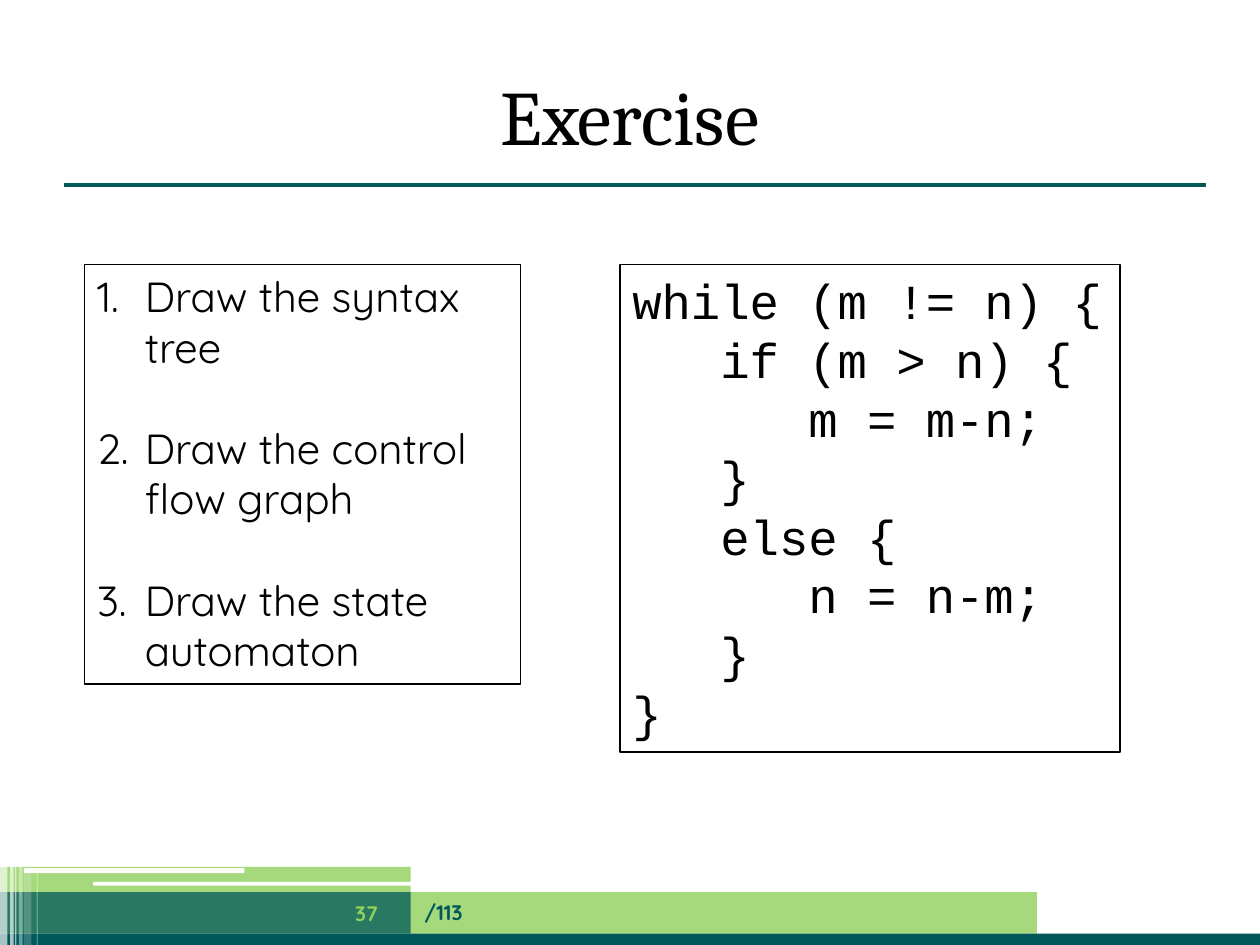
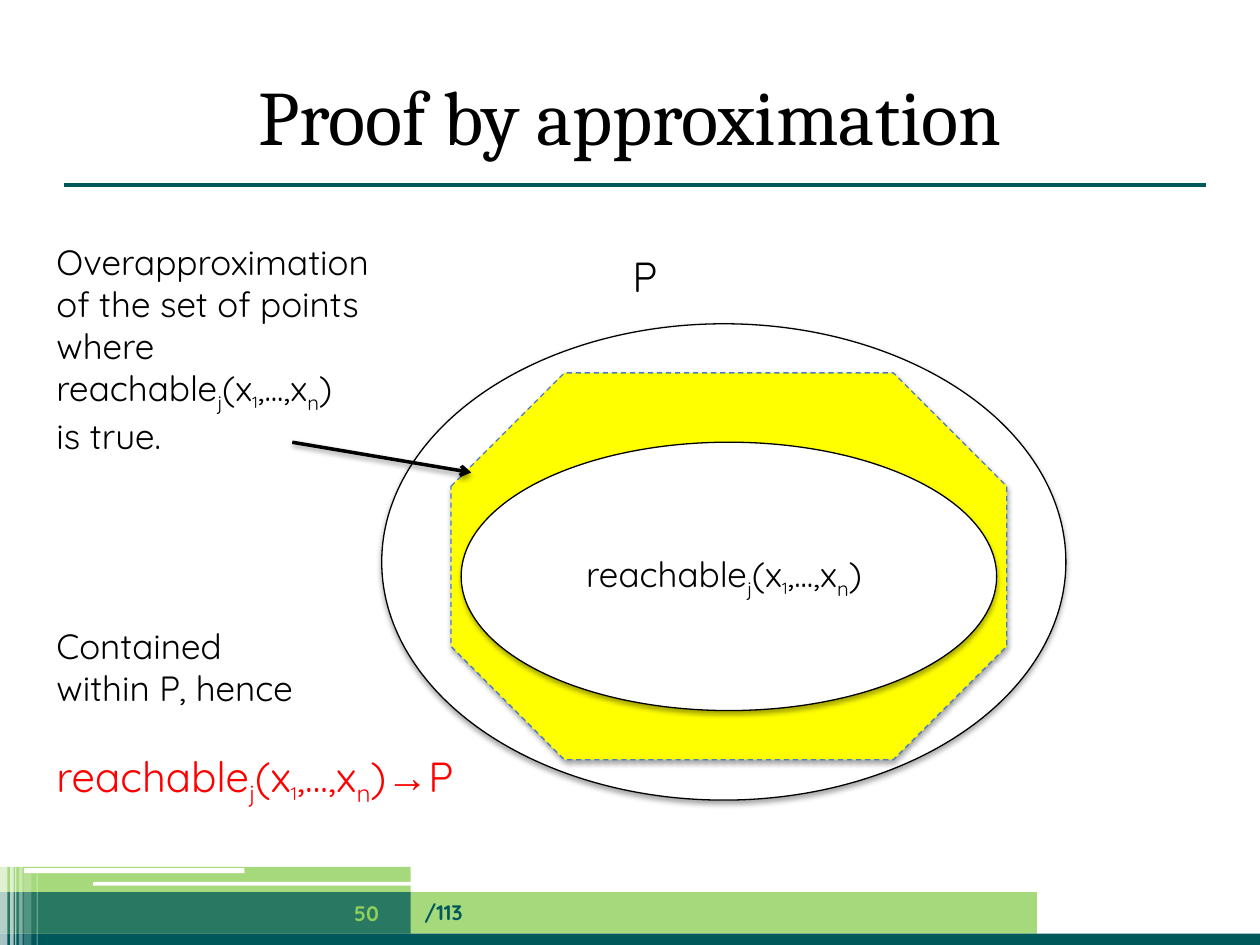
from lxml.etree import SubElement
from pptx import Presentation
from pptx.dml.color import RGBColor
from pptx.enum.dml import MSO_LINE
from pptx.enum.shapes import MSO_CONNECTOR, MSO_SHAPE
from pptx.enum.text import MSO_ANCHOR, MSO_AUTO_SIZE, PP_ALIGN
from pptx.oxml.ns import qn
from pptx.util import Emu, Pt

# Shared style: 100 px to the inch
EMU_PER_PX = 9144
TEAL, GREEN, WHITE, BLACK = "00585A", "90D05C", "FFFFFF", "000000"
YELLOW, RED, BLUE = "FFFF00", "FF0000", "4B7EBC"
TITLE_FONT, BODY_FONT, CODE_FONT = "Cambria", "Quicksand", "Courier New"
TITLE_ONLY, TITLE_AND_BODY = 5, 1
SLIDE_TOTAL = 113

# Footer bands: left, top, width, height, colour, opacity in percent
BANDS = [
    (0, 708, 823, 33, GREEN, 80),
    (0, 741, 1000, 11, TEAL, 100),
    (0, 708, 326, 33, TEAL, 75),
    (0, 688, 326, 20, GREEN, 80),
]
ROUNDED_STRIPES = [(74, 700, 335, 3), (19, 689, 175, 4)]
# Vertical stripes: left, top, width, opacity in percent
VERTICAL_STRIPES = [
    (0, 686, 6, 65), (8, 686, 3, 65), (12, 686, 1, 60),
    (15, 686, 3, 40), (19, 690, 6, 20), (29, 690, 1, 30),
]
FOOTER_BOTTOM = 752


def px(length):
    return Emu(length * EMU_PER_PX)


def rgb(color):
    return RGBColor.from_string(color)


def add_text(paragraph, text, size=20, font=BODY_FONT, color=BLACK, bold=False, subscript=False):
    run = paragraph.add_run()
    run.text = text
    run.font.size = Pt(size)
    run.font.name = font
    run.font.bold = bold
    run.font.color.rgb = rgb(color)
    if subscript:
        run.font._element.set("baseline", "-25000")


def add_reachable(paragraph, index_size, ending=")", **style):
    """Write reachable_j(x_1,...,x_n)."""
    add_text(paragraph, "reachable", **style)
    add_text(paragraph, "j", subscript=True, **style)
    add_text(paragraph, "(x", **style)
    add_text(paragraph, "1", subscript=True, **{**style, "size": index_size})
    add_text(paragraph, ",...,x", **style)
    add_text(paragraph, "n", subscript=True, **style)
    add_text(paragraph, ending, **style)


def add_shadow(effects, opacity, distance):
    shadow = SubElement(effects, qn("a:outerShdw"), blurRad=str(Pt(3.1)),
                        dist=str(Pt(distance)), dir="5400000", rotWithShape="0")
    color = SubElement(shadow, qn("a:srgbClr"), val=BLACK)
    SubElement(color, qn("a:alpha"), val=str(opacity * 1000))


class Deck:
    def __init__(self):
        self.presentation = Presentation()
        self.presentation.slide_width = px(1000)
        self.presentation.slide_height = px(750)
        self.slide = None

    def new_slide(self, title, number, layout=TITLE_ONLY):
        layouts = self.presentation.slide_layouts
        self.slide = self.presentation.slides.add_slide(layouts[layout])
        self.footer(number)
        self.line(51, 147, 957, 147, TEAL, 2.25)
        frame = self.place(self.slide.shapes.title, 50, 44, 900, 94)
        frame.vertical_anchor = MSO_ANCHOR.MIDDLE
        paragraph = frame.paragraphs[0]
        paragraph.alignment = PP_ALIGN.CENTER
        add_text(paragraph, title, size=44, font=TITLE_FONT)

    def footer(self, number):
        for left, top, width, height, color, opacity in BANDS:
            self.shape(MSO_SHAPE.RECTANGLE, left, top, width, height, color, opacity=opacity)
        for stripe in ROUNDED_STRIPES:
            self.shape(MSO_SHAPE.ROUNDED_RECTANGLE, *stripe, WHITE)
        for left, top, width, opacity in VERTICAL_STRIPES:
            self.shape(MSO_SHAPE.RECTANGLE, left, top, width, FOOTER_BOTTOM - top,
                       WHITE, opacity=opacity)
        total = self.text_box(327, 704, 496, 40, MSO_ANCHOR.MIDDLE)
        add_text(total.paragraphs[0], f"/{SLIDE_TOTAL}", size=12, color=TEAL, bold=True)
        page = self.text_box(256, 705, 70, 40, MSO_ANCHOR.MIDDLE)
        page.paragraphs[0].alignment = PP_ALIGN.CENTER
        add_text(page.paragraphs[0], str(number), size=12, color=GREEN, bold=True)

    def place(self, placeholder, left, top, width, height):
        placeholder.left, placeholder.top = px(left), px(top)
        placeholder.width, placeholder.height = px(width), px(height)
        placeholder.text_frame.auto_size = MSO_AUTO_SIZE.NONE
        return placeholder.text_frame

    def outline(self, shape, color, width=0.75):
        shape.line.color.rgb = rgb(color)
        shape.line.width = Pt(width)

    def shape(self, kind, left, top, width, height, fill, line=None, opacity=100, shadow=False):
        shape = self.slide.shapes.add_shape(kind, px(left), px(top), px(width), px(height))
        shape.shadow.inherit = False
        shape.fill.solid()
        shape.fill.fore_color.rgb = rgb(fill)
        properties = shape.element.spPr
        if opacity < 100:
            color = properties.find(f"{qn('a:solidFill')}/{qn('a:srgbClr')}")
            SubElement(color, qn("a:alpha"), val=str(opacity * 1000))
        if line:
            self.outline(shape, line)
        else:
            shape.line.fill.background()
        if shadow:
            add_shadow(properties.find(qn("a:effectLst")), 35, 1.8)
        return shape

    def line(self, left, top, right, bottom, color, width, arrow=False):
        line = self.slide.shapes.add_connector(
            MSO_CONNECTOR.STRAIGHT, px(left), px(top), px(right), px(bottom))
        self.outline(line, color, width)
        properties = line.element.spPr
        effects = SubElement(properties, qn("a:effectLst"))
        if arrow:
            SubElement(properties.find(qn("a:ln")), qn("a:tailEnd"), type="arrow")
            add_shadow(effects, 38, 1.6)

    def text_box(self, left, top, width, height, anchor=MSO_ANCHOR.TOP, wrap=True, border=None):
        box = self.slide.shapes.add_textbox(px(left), px(top), px(width), px(height))
        if border:
            self.outline(box, border)
        box.text_frame.word_wrap = wrap
        box.text_frame.vertical_anchor = anchor
        return box.text_frame

    def paragraphs(self, frame, lines, gaps=None, **style):
        """Write one paragraph a line; gaps maps a line index to points before it."""
        for index, text in enumerate(lines):
            paragraph = frame.add_paragraph() if index else frame.paragraphs[0]
            paragraph.space_before = Pt((gaps or {}).get(index, 0))
            if text == "reachable":
                add_reachable(paragraph, 16, **style)
            else:
                add_text(paragraph, text, **style)

    def numbered_list(self, left, top, width, height, items, gap, **style):
        body = self.slide.placeholders[1]
        frame = self.place(body, left, top, width, height)
        self.outline(body, BLACK)
        self.paragraphs(frame, items, {i: gap for i in range(1, len(items))}, **style)
        for paragraph in frame.paragraphs:
            properties = paragraph._p.get_or_add_pPr()
            properties.set("marL", str(px(38)))
            properties.set("indent", str(px(-38)))
            SubElement(properties, qn("a:buFont"), typeface="+mj-lt")
            SubElement(properties, qn("a:buAutoNum"), type="arabicPeriod")


def exercise_slide(deck):
    deck.new_slide("Exercise", 37, TITLE_AND_BODY)
    deck.numbered_list(67, 210, 346, 333, [
        "Draw the syntax tree",
        "Draw the control flow graph",
        "Draw the state automaton",
    ], gap=29, size=24)

    # Program to analyse
    code = deck.text_box(492, 210, 397, 387, wrap=False, border=BLACK)
    deck.paragraphs(code, [
        "while (m != n) {",
        "   if (m > n) {",
        "      m = m-n;",
        "   }",
        "   else {",
        "      n = n-m;",
        "   }",
        "}",
    ], size=28, font=CODE_FONT)


def approximation_slide(deck):
    deck.new_slide("Proof by approximation", 50)

    # Nested sets: property, overapproximation, reachable points
    deck.shape(MSO_SHAPE.OVAL, 303, 257, 543, 378, WHITE, BLACK, shadow=True)
    octagon = deck.shape(MSO_SHAPE.OCTAGON, 358, 296, 441, 307, YELLOW, BLUE, shadow=True)
    octagon.line.dash_style = MSO_LINE.DASH
    reachable = deck.shape(MSO_SHAPE.OVAL, 366, 351, 425, 213, WHITE, BLACK, shadow=True)
    reachable.text_frame.vertical_anchor = MSO_ANCHOR.MIDDLE
    paragraph = reachable.text_frame.paragraphs[0]
    paragraph.alignment = PP_ALIGN.CENTER
    add_reachable(paragraph, 16, ending=") ", size=20)
    label = deck.text_box(492, 194, 40, 50, wrap=False)
    add_text(label.paragraphs[0], "P", size=24)

    # Explanation and conclusion
    argument = deck.text_box(35, 186, 377, 485, wrap=False)
    deck.paragraphs(argument, [
        "Overapproximation",
        "of the set of points",
        "where",
        "reachable",
        "is true.",
        "Contained",
        "within P, hence",
    ], gaps={5: 96}, size=20)
    conclusion = argument.add_paragraph()
    conclusion.space_before = Pt(24)
    add_reachable(conclusion, 18, size=24, color=RED)
    add_text(conclusion, "→", size=24, font="Arial", color=RED)
    add_text(conclusion, "P", size=24, color=RED)
    deck.line(232, 351, 374, 375, BLACK, 2, arrow=True)


def main():
    deck = Deck()
    exercise_slide(deck)
    approximation_slide(deck)
    deck.presentation.save("out.pptx")


if __name__ == "__main__":
    main()
